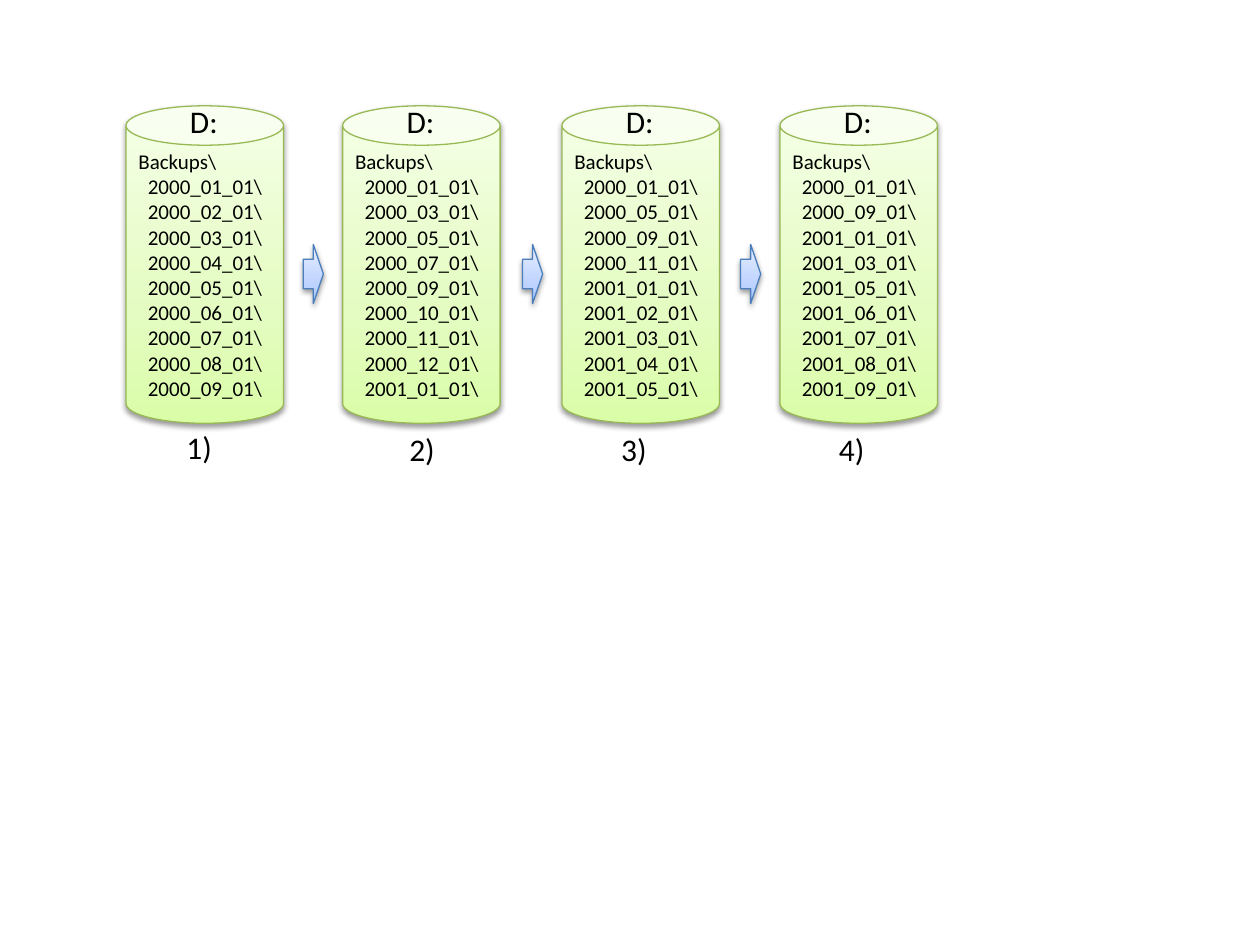
"""Build a slide showing how the dated backups on drive D: are thinned out over time."""
from copy import deepcopy
from dataclasses import dataclass

from lxml.etree import SubElement
from pptx import Presentation
from pptx.dml.color import RGBColor
from pptx.enum.shapes import MSO_SHAPE
from pptx.enum.text import MSO_ANCHOR, MSO_AUTO_SIZE, PP_ALIGN
from pptx.oxml import parse_xml
from pptx.oxml.ns import nsdecls, qn
from pptx.util import Pt


@dataclass(frozen=True)
class Theme:
    font: str = "Calibri"
    text: str = "000000"
    label_size: int = 18
    folder_size: int = 12
    drive_fill: tuple = ("DAFDA7", "E4FCC2", "F5FFE7")
    drive_line: str = "98B955"
    arrow_fill: tuple = ("A4C4FF", "BFD4FF", "E6EEFF")
    arrow_line: str = "4B7EBC"


THEME = Theme()
SHADOW = (
    f'<a:effectLst {nsdecls("a")}><a:outerShdw blurRad="{Pt(3.1)}" dist="{Pt(1.6)}" '
    'dir="5400000" rotWithShape="0"><a:srgbClr val="000000"><a:alpha val="38000"/>'
    "</a:srgbClr></a:outerShdw></a:effectLst>"
)
DRIVE_TOP, DRIVE_WIDTH, DRIVE_HEIGHT = 60.5, 90, 181.4
STAGES = [
    (72, 99.4, 241.2, "2000_01_01 2000_02_01 2000_03_01 2000_04_01 2000_05_01 "
                      "2000_06_01 2000_07_01 2000_08_01 2000_09_01"),
    (195.8, 226.8, 241.9, "2000_01_01 2000_03_01 2000_05_01 2000_07_01 2000_09_01 "
                          "2000_10_01 2000_11_01 2000_12_01 2001_01_01"),
    (321.1, 347.8, 241.9, "2000_01_01 2000_05_01 2000_09_01 2000_11_01 2001_01_01 "
                          "2001_02_01 2001_03_01 2001_04_01 2001_05_01"),
    (445.7, 472.3, 241.9, "2000_01_01 2000_09_01 2001_01_01 2001_03_01 2001_05_01 "
                          "2001_06_01 2001_07_01 2001_08_01 2001_09_01"),
]

prs = Presentation()
prs.slide_width, prs.slide_height = Pt(720), Pt(540)
slide = prs.slides.add_slide(prs.slide_layouts[6])


def add_body(preset, left, top, width, height, colors, line_color):
    body = slide.shapes.add_shape(preset, Pt(left), Pt(top), Pt(width), Pt(height))
    body.fill.gradient()
    body.fill.gradient_angle = 90
    stop_list = body._element.spPr.find(qn("a:gradFill")).find(qn("a:gsLst"))
    stop_list.append(deepcopy(stop_list[0]))
    for stop, color, position in zip(body.fill.gradient_stops, colors, (0, 0.35, 1)):
        stop.color.rgb = RGBColor.from_string(color)
        stop.position = position
    body.line.color.rgb = RGBColor.from_string(line_color)
    body.line.width = Pt(0.75)
    body._element.spPr.append(parse_xml(SHADOW))
    return body


def add_label(text, left, top, width):
    label = slide.shapes.add_textbox(Pt(left), Pt(top), Pt(width), Pt(29))
    frame = label.text_frame
    frame.text = text
    frame.word_wrap = False
    frame.auto_size = MSO_AUTO_SIZE.SHAPE_TO_FIT_TEXT
    font = frame.paragraphs[0].runs[0].font
    font.name, font.size = THEME.font, Pt(THEME.label_size)
    font.color.rgb = RGBColor.from_string(THEME.text)


for number, (left, label_left, label_top, dates) in enumerate(STAGES, start=1):
    drive = add_body(MSO_SHAPE.CAN, left, DRIVE_TOP, DRIVE_WIDTH, DRIVE_HEIGHT,
                     THEME.drive_fill, THEME.drive_line)
    folders = drive.text_frame
    folders.word_wrap = True
    folders.vertical_anchor = MSO_ANCHOR.MIDDLE
    folders.text = "\n".join(f"{name}\\" for name in ["Backups", *dates.split()])
    for level, folder in enumerate(folders.paragraphs):
        folder.alignment = PP_ALIGN.LEFT
        if level:
            folder._p.get_or_add_pPr().set("marL", str(Pt(5.4)))
        font = folder.runs[0].font
        font.name, font.size = THEME.font, Pt(THEME.folder_size)
        font.color.rgb = RGBColor.from_string(THEME.text)
    add_label("D:", left + 29.5, 54.7, 31)
    if number > 1:
        add_body(MSO_SHAPE.RIGHT_ARROW, left - 22.5, 139.7, 11.5, 33.8,
                 THEME.arrow_fill, THEME.arrow_line)
    add_label(f"{number})", label_left, label_top, 29.5)

prs.save("out.pptx")
